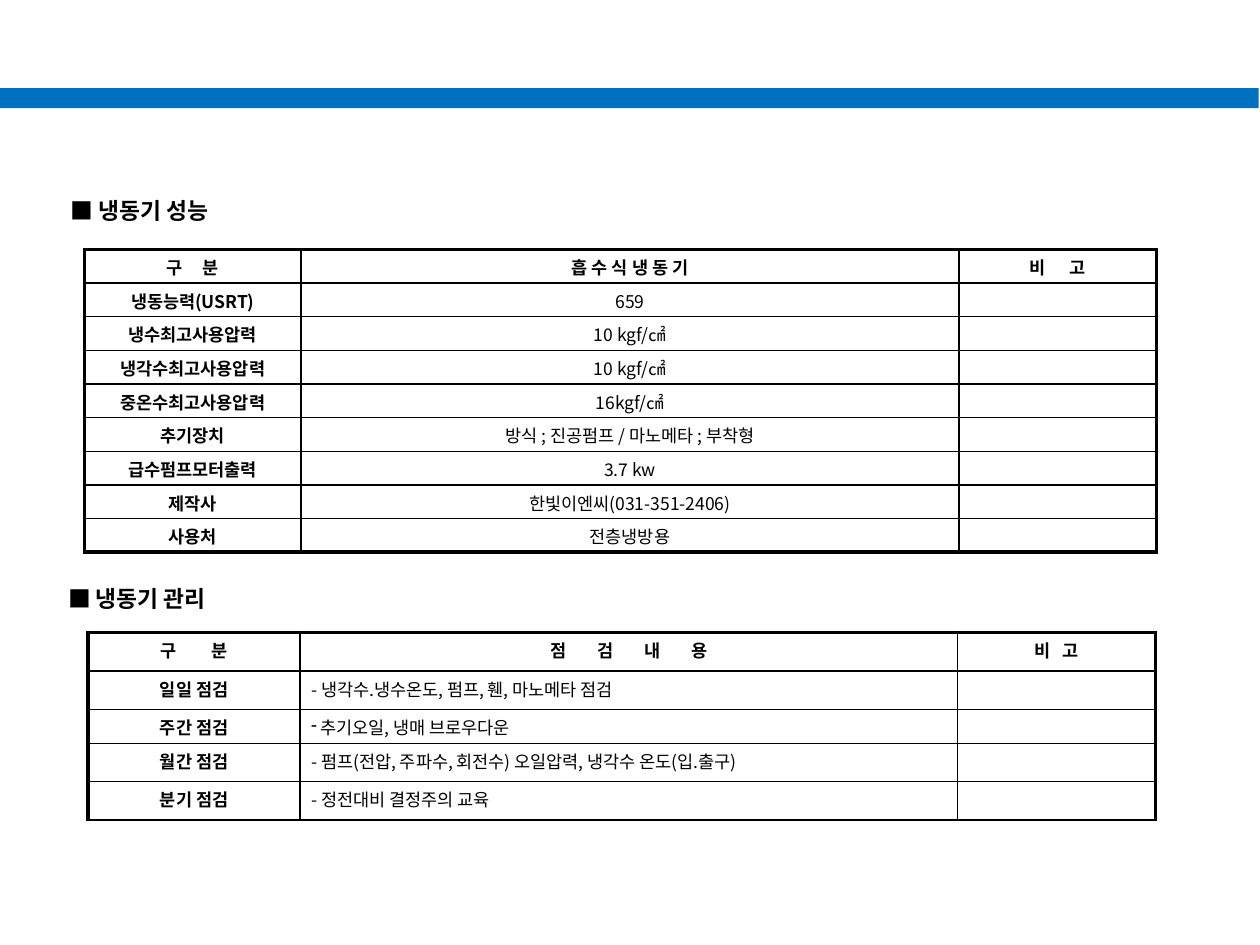
from dataclasses import dataclass

from lxml.etree import SubElement
from pptx import Presentation
from pptx.dml.color import RGBColor as Rgb
from pptx.enum.shapes import MSO_SHAPE as Shape
from pptx.enum.text import MSO_ANCHOR as Anchor, PP_ALIGN as Align
from pptx.oxml.ns import qn
from pptx.slide import Slide
from pptx.table import _Cell as Cell
from pptx.text.text import _Paragraph as Para
from pptx.util import Inches, Pt


@dataclass(frozen=True)
class Theme:
    font: str = "Noto Sans CJK KR"
    ink: Rgb = Rgb(0, 0, 0)
    blue: Rgb = Rgb(0x00, 0x70, 0xC0)
    head: float = 13
    body: float = 10
    thin: float = 1
    thick: float = 2.25


@dataclass(frozen=True)
class Title:
    text: str
    left: float
    top: float
    width: float


@dataclass(frozen=True)
class Label:
    """Column heading; track is the letter spacing in points."""
    text: str
    track: float = 0


@dataclass(frozen=True)
class Item:
    name: str
    value: str
    bullet: str = ""


@dataclass(frozen=True)
class Grid:
    left: float
    top: float
    widths: tuple[float, ...]
    heights: tuple[float, ...]
    labels: tuple[Label, ...]
    items: tuple[Item, ...]
    align: Align
    foot: float


THEME = Theme()

TITLES = (
    Title("■ 냉동기 성능", 0.24, 1.56, 1.73),
    Title("■ 냉동기 관리", -0.04, 4.64, 2.25),
)

SPECS = Grid(
    0.67, 1.98, (1.72, 5.22, 1.57), (0.267,) * 9,
    (Label("구 분", 4.6), Label("흡 수 식 냉 동 기"), Label("비 고", 5.7)),
    (
        Item("냉동능력(USRT)", "659"),
        Item("냉수최고사용압력", "10 kgf/㎠"),
        Item("냉각수최고사용압력", "10 kgf/㎠"),
        Item("중온수최고사용압력", "16kgf/㎠"),
        Item("추기장치", "방식 ; 진공펌프 / 마노메타 ; 부착형"),
        Item("급수펌프모터출력", "3.7 kw"),
        Item("제작사", "한빛이엔씨(031-351-2406)"),
        Item("사용처", "전층냉방용"),
    ),
    Align.CENTER, THEME.thick,
)

CHECKS = Grid(
    0.7, 5.02, (1.68, 5.22, 1.57), (0.305, 0.305, 0.27, 0.305, 0.305),
    (Label("구 분", 8.9), Label("점 검 내 용", 7.7), Label("비 고", 2.3)),
    (
        Item("일일 점검", "- 냉각수.냉수온도, 펌프, 휀, 마노메타 점검"),
        Item("주간 점검", " 추기오일, 냉매 브로우다운", "-"),
        Item("월간 점검", "- 펌프(전압, 주파수, 회전수) 오일압력, 냉각수 온도(입.출구)"),
        Item("분기 점검", "- 정전대비 결정주의 교육"),
    ),
    Align.LEFT, THEME.thin,
)


def write(para: Para, text: str, size: float, bold: bool,
          align: Align = Align.CENTER, track: float = 0) -> None:
    para.text = text
    para.alignment = align
    for run in para.runs:
        font = run.font
        font.name, font.size, font.bold = THEME.font, Pt(size), bold
        font.color.rgb = THEME.ink
        props = run._r.get_or_add_rPr()
        SubElement(props, qn("a:ea"), typeface=THEME.font)
        if track:
            props.set("spc", str(round(track * 100)))
    if not text:
        SubElement(para._p, qn("a:endParaRPr"), sz=str(round(size * 100)))


def add_bullet(para: Para, mark: str) -> None:
    props = para._p.get_or_add_pPr()
    SubElement(props, qn("a:buChar"), char=mark)


def border(cell: Cell, sides: dict[str, float]) -> None:
    props = cell._tc.get_or_add_tcPr()
    for side, width in sides.items():
        line = SubElement(props, qn(f"a:ln{side}"), w=str(Pt(width)))
        fill = SubElement(line, qn("a:solidFill"))
        SubElement(fill, qn("a:srgbClr"), val=str(THEME.ink))


def add_title(slide: Slide, title: Title) -> None:
    box = slide.shapes.add_textbox(
        Inches(title.left), Inches(title.top), Inches(title.width), Inches(0.22))
    frame = box.text_frame
    frame.margin_left = frame.margin_right = 0
    frame.margin_top = frame.margin_bottom = 0
    frame.word_wrap = True
    frame.vertical_anchor = Anchor.MIDDLE
    write(frame.paragraphs[0], title.text, THEME.head, True)


def add_grid(slide: Slide, grid: Grid) -> None:
    rows, cols = len(grid.heights), len(grid.widths)
    table = slide.shapes.add_table(
        rows, cols, Inches(grid.left), Inches(grid.top),
        Inches(sum(grid.widths)), Inches(sum(grid.heights))).table
    table.first_row = table.horz_banding = False
    for col, width in zip(table.columns, grid.widths):
        col.width = Inches(width)
    for row, height in zip(table.rows, grid.heights):
        row.height = Inches(height)

    for r in range(rows):
        for c in range(cols):
            cell = table.cell(r, c)
            border(cell, {
                "L": THEME.thin if c else THEME.thick,
                "R": THEME.thick if c == cols - 1 else THEME.thin,
                "T": THEME.thin if r else THEME.thick,
                "B": grid.foot if r == rows - 1 else THEME.thin,
            })
            cell.fill.background()
            cell.margin_left = cell.margin_right = Inches(0.09)
            cell.margin_top, cell.margin_bottom = Inches(0.04), Inches(0.02)

    for c, label in enumerate(grid.labels):
        para = table.cell(0, c).text_frame.paragraphs[0]
        write(para, label.text, THEME.body, True, track=label.track)
    for r, item in enumerate(grid.items, 1):
        name, value, note = (
            table.cell(r, c).text_frame.paragraphs[0] for c in range(cols))
        write(name, item.name, THEME.body, True)
        if item.bullet:
            add_bullet(value, item.bullet)
        write(value, item.value, THEME.body, False, grid.align)
        write(note, "", THEME.body, False)


def add_bar(slide: Slide) -> None:
    bar = slide.shapes.add_shape(
        Shape.RECTANGLE, 0, Inches(0.7), Inches(9.99), Inches(0.16))
    bar.shadow.inherit = False
    bar.fill.solid()
    bar.fill.fore_color.rgb = THEME.blue
    bar.line.fill.background()


def main() -> None:
    deck = Presentation()
    deck.slide_width, deck.slide_height = Inches(10), Inches(7.5)
    slide = deck.slides.add_slide(deck.slide_layouts[6])
    for title, grid in zip(TITLES, (SPECS, CHECKS)):
        add_title(slide, title)
        add_grid(slide, grid)
    add_bar(slide)
    deck.save("out.pptx")


if __name__ == "__main__":
    main()
